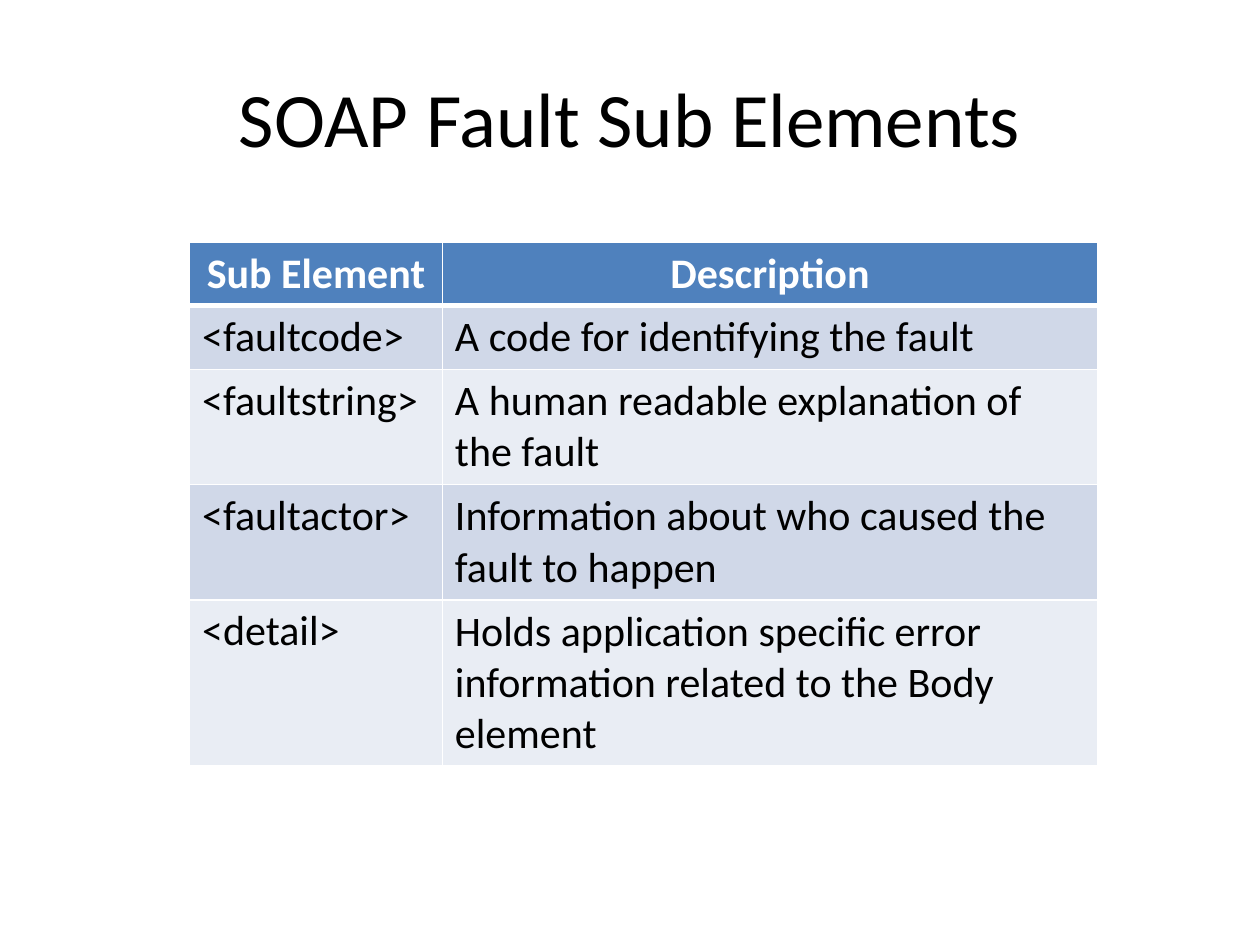
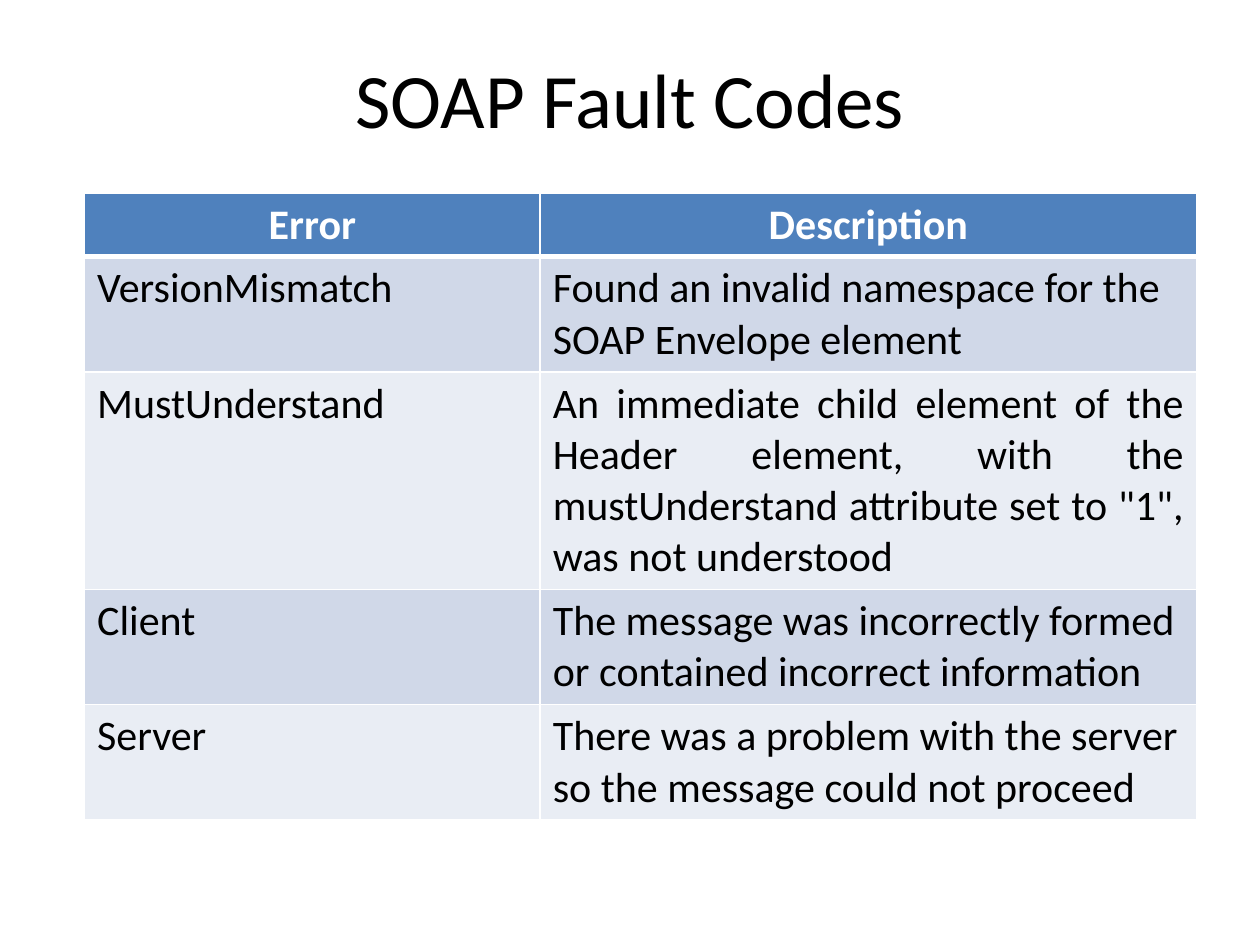
from lxml import etree
from pptx import Presentation
from pptx.dml.color import RGBColor
from pptx.enum import text
from pptx.oxml import ns
from pptx.util import Pt

FONT = "Calibri"
COLORS = {
    "ink": "000000",
    "header": "4F81BD",
    "header_text": "FFFFFF",
    "band_dark": "D0D8E8",
    "band_light": "E9EDF4",
    "rule": "FFFFFF",
}
LINE_HEIGHT = 29.3
CELL_PADDING = 7.2
ALIGN = text.PP_ALIGN
MIDDLE = text.MSO_ANCHOR.MIDDLE
TOP = text.MSO_ANCHOR.TOP


def write(frame, words, size=24, color="ink", bold=False, align=ALIGN.LEFT):
    para = frame.paragraphs[0]
    para.alignment = align
    span = para.add_run()
    span.text = words
    span.font.name = FONT
    span.font.size = Pt(size)
    span.font.bold = bold
    span.font.color.rgb = RGBColor.from_string(COLORS[color])


def add_title(page, box, words):
    left, top, width, height = map(Pt, box)
    frame = page.shapes.add_textbox(left, top, width, height).text_frame
    frame.word_wrap = True
    frame.vertical_anchor = MIDDLE
    write(frame, words, size=44, align=ALIGN.CENTER)


def set_borders(cell, top=1, bottom=1):
    """Rule all four sides; border elements must come before the cell's fill."""
    properties = cell._tc.get_or_add_tcPr()
    widths = {"lnL": 1, "lnR": 1, "lnT": top, "lnB": bottom}
    for position, (side, width) in enumerate(widths.items()):
        line = etree.Element(ns.qn(f"a:{side}"), w=str(Pt(width)))
        fill = etree.SubElement(line, ns.qn("a:solidFill"))
        etree.SubElement(fill, ns.qn("a:srgbClr"), val=COLORS["rule"])
        properties.insert(position, line)


def add_definition_table(page, origin, column_widths, header, entries):
    """Each entry is (term, description, lines of description, alignment)."""
    rows = [(*header, 1, ALIGN.CENTER), *entries]
    heights = [lines * LINE_HEIGHT + CELL_PADDING for _, _, lines, _ in rows]
    left, top = origin
    table = page.shapes.add_table(
        len(rows), len(column_widths), Pt(left), Pt(top),
        Pt(sum(column_widths)), Pt(sum(heights))).table
    table.horz_banding = False
    for column, width in zip(table.columns, column_widths):
        column.width = Pt(width)

    for number, (term, description, _, align) in enumerate(rows):
        table.rows[number].height = Pt(heights[number])
        is_header = number == 0
        band = "band_dark" if number % 2 else "band_light"
        term_align = ALIGN.CENTER if is_header else ALIGN.LEFT
        contents = [(term, term_align, TOP), (description, align, MIDDLE)]
        for cell, (words, side, anchor) in zip(table.rows[number].cells, contents):
            cell.fill.solid()
            cell.fill.fore_color.rgb = RGBColor.from_string(
                COLORS["header" if is_header else band])
            cell.vertical_anchor = anchor
            set_borders(cell, top=3 if number == 1 else 1, bottom=3 if is_header else 1)
            write(cell.text_frame, words, bold=is_header, align=side,
                  color="header_text" if is_header else "ink")


def add_sub_elements_page(page):
    add_title(page, (36, 21.6, 648, 90), "SOAP Fault Sub Elements")
    add_definition_table(page, (108.3, 138.2), (144.5, 374.4), ("Sub Element", "Description"), [
        ("<faultcode>", "A code for identifying the fault", 1, ALIGN.LEFT),
        ("<faultstring>", "A human readable explanation of the fault", 2, ALIGN.LEFT),
        ("<faultactor>", "Information about who caused the fault to happen", 2, ALIGN.LEFT),
        ("<detail>", "Holds application specific error information related to the Body element",
         3, ALIGN.LEFT),
    ])


def add_codes_page(page):
    add_title(page, (36, 21.6, 648, 68.4), "SOAP Fault Codes")
    add_definition_table(page, (48.3, 110.2), (260.4, 375), ("Error", "Description"), [
        ("VersionMismatch", "Found an invalid namespace for the SOAP Envelope element",
         2, ALIGN.LEFT),
        ("MustUnderstand", "An immediate child element of the Header element, with the "
         "mustUnderstand attribute set to \"1\", was not understood", 4, ALIGN.JUSTIFY),
        ("Client", "The message was incorrectly formed or contained incorrect information",
         2, ALIGN.LEFT),
        ("Server", "There was a problem with the server so the message could not proceed",
         2, ALIGN.LEFT),
    ])


def main():
    deck = Presentation()
    deck.slide_width, deck.slide_height = Pt(720), Pt(540)
    blank = deck.slide_layouts[6]
    for build in (add_sub_elements_page, add_codes_page):
        build(deck.slides.add_slide(blank))
    deck.save("out.pptx")


if __name__ == "__main__":
    main()
